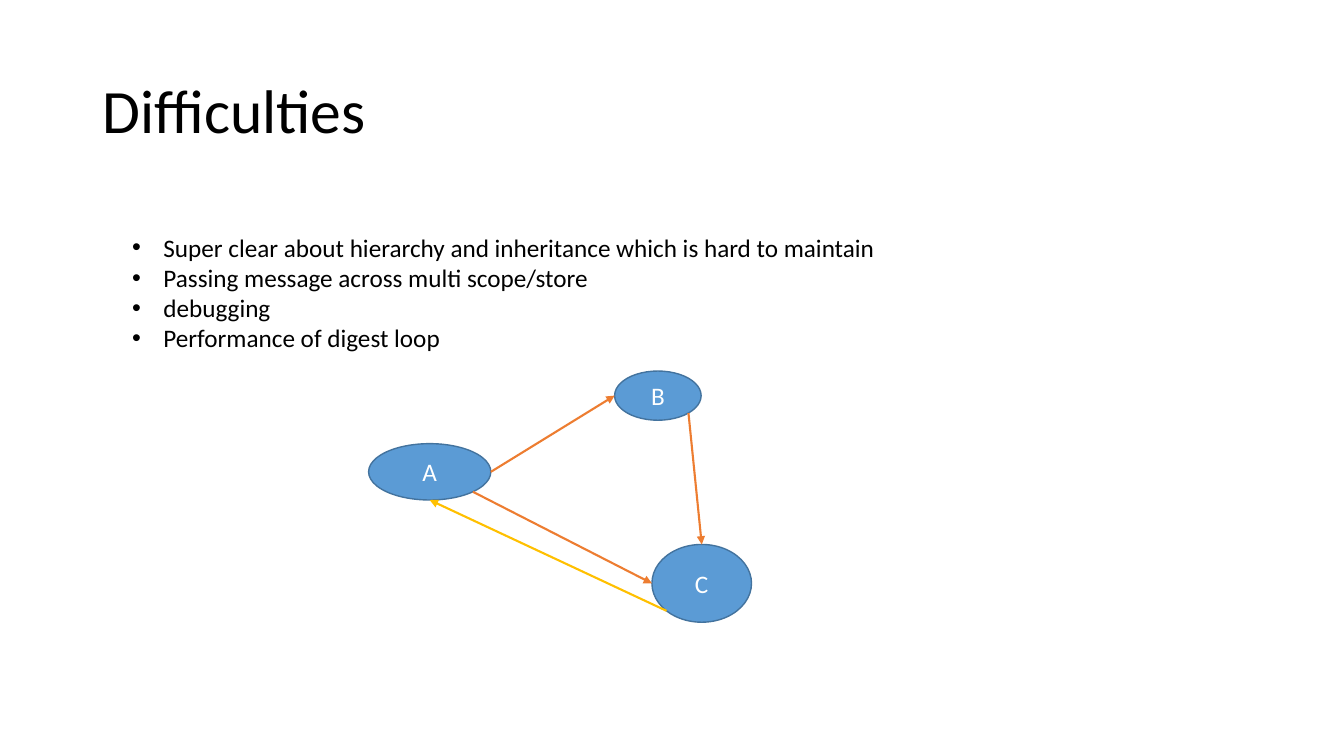
import dataclasses
import math
import typing

import lxml.etree
import pptx
import pptx.dml.color
import pptx.enum.shapes
import pptx.enum.text
import pptx.oxml.ns
import pptx.util

Cm = pptx.util.Cm
Pt = pptx.util.Pt
Align = pptx.enum.text.PP_ALIGN
Anchor = pptx.enum.text.MSO_ANCHOR

COLORS = {
    "text": "000000",
    "node": "5B9BD5",
    "outline": "43739E",
    "label": "FFFFFF",
    "forward": "ED7D31",
    "back": "FFC000",
}
FONT = "Calibri"
TITLE_SIZE = Pt(44)
BODY_SIZE = Pt(18)
BULLET_INDENT = Cm(0.79)

# Directions on an ellipse, in degrees clockwise from the right
RIGHT, LOWER_RIGHT, BOTTOM, LOWER_LEFT, LEFT, TOP = 0, 45, 90, 135, 180, 270


@dataclasses.dataclass(frozen=True)
class Node:
    label: str
    left: float
    top: float
    width: float
    height: float

    def rim(self, direction: float) -> tuple[float, float]:
        """Point on the ellipse in a direction, in centimetres."""
        angle = math.radians(direction)
        return (self.left + self.width / 2 * (1 + math.cos(angle)),
                self.top + self.height / 2 * (1 + math.sin(angle)))


@dataclasses.dataclass(frozen=True)
class Arrow:
    start: Node
    start_side: float
    end: Node
    end_side: float
    color: str


def rgb(name: str) -> pptx.dml.color.RGBColor:
    return pptx.dml.color.RGBColor.from_string(COLORS[name])


def apply(target: typing.Any, values: dict[str, typing.Any]) -> None:
    for name, value in values.items():
        setattr(target, name, value)


def add_xml(parent: typing.Any, tag: str, **attributes: str) -> None:
    lxml.etree.SubElement(parent, pptx.oxml.ns.qn(tag), attributes)


def add_bullet(para: typing.Any) -> None:
    properties = para._p.get_or_add_pPr()
    properties.set("marL", str(BULLET_INDENT))
    properties.set("indent", str(-BULLET_INDENT))
    add_xml(properties, "a:buFont", typeface="Arial")
    add_xml(properties, "a:buChar", char="\u2022")


def write(frame: typing.Any, lines: list[str], size: pptx.util.Length,
          color: str, frame_format: dict[str, typing.Any],
          para_format: dict[str, typing.Any], bulleted: bool = False) -> None:
    apply(frame, {"word_wrap": True, **frame_format})
    for index, line in enumerate(lines):
        para = frame.add_paragraph() if index else frame.paragraphs[0]
        apply(para, para_format)
        if bulleted:
            add_bullet(para)
        span = para.add_run()
        span.text = line
        apply(span.font, {"name": FONT, "size": size})
        span.font.color.rgb = rgb(color)


def draw_node(page: typing.Any, node: Node) -> None:
    shape = page.shapes.add_shape(
        pptx.enum.shapes.MSO_SHAPE.OVAL,
        Cm(node.left), Cm(node.top), Cm(node.width), Cm(node.height))
    shape.shadow.inherit = False
    shape.fill.solid()
    shape.fill.fore_color.rgb = rgb("node")
    shape.line.color.rgb = rgb("outline")
    shape.line.width = Pt(1)
    write(shape.text_frame, [node.label], BODY_SIZE, "label",
          {"vertical_anchor": Anchor.MIDDLE}, {"alignment": Align.CENTER})


def draw_arrow(page: typing.Any, arrow: Arrow) -> None:
    ends = arrow.start.rim(arrow.start_side) + arrow.end.rim(arrow.end_side)
    connector = page.shapes.add_connector(
        pptx.enum.shapes.MSO_CONNECTOR.STRAIGHT, *map(Cm, ends))
    connector.line.color.rgb = rgb(arrow.color)
    connector.line.width = Pt(1.5)
    add_xml(connector.line._get_or_add_ln(), "a:tailEnd", type="triangle")
    add_xml(connector._element.spPr, "a:effectLst")


deck = pptx.Presentation()
apply(deck, {"slide_width": Cm(33.87), "slide_height": Cm(19.05)})
page = deck.slides.add_slide(deck.slide_layouts[6])

# Title
title_box = page.shapes.add_textbox(Cm(2.33), Cm(1.01), Cm(29.21), Cm(3.68))
write(title_box.text_frame, ["Difficulties"], TITLE_SIZE, "text",
      {"vertical_anchor": Anchor.MIDDLE}, {"line_spacing": 0.9})

# Bullet list
difficulties = [
    "Super clear about hierarchy and inheritance which is hard to maintain",
    "Passing message across multi scope/store",
    "debugging",
    "Performance of digest loop",
]
list_box = page.shapes.add_textbox(Cm(3.08), Cm(5.72), Cm(27.28), Cm(3.33))
write(list_box.text_frame, difficulties, BODY_SIZE, "text",
      {"auto_size": pptx.enum.text.MSO_AUTO_SIZE.SHAPE_TO_FIT_TEXT}, {},
      bulleted=True)

# Scopes
scope_a = Node("A", 9.29, 11.18, 3.08, 1.42)
scope_b = Node("B", 15.49, 9.35, 2.18, 1.24)
scope_c = Node("C", 16.43, 13.72, 2.51, 1.96)
for scope in (scope_a, scope_b, scope_c):
    draw_node(page, scope)

# Messages between scopes
messages = [
    Arrow(scope_a, RIGHT, scope_b, LEFT, "forward"),
    Arrow(scope_b, LOWER_RIGHT, scope_c, TOP, "forward"),
    Arrow(scope_a, LOWER_RIGHT, scope_c, LEFT, "forward"),
    Arrow(scope_c, LOWER_LEFT, scope_a, BOTTOM, "back"),
]
for message in messages:
    draw_arrow(page, message)

deck.save("out.pptx")
